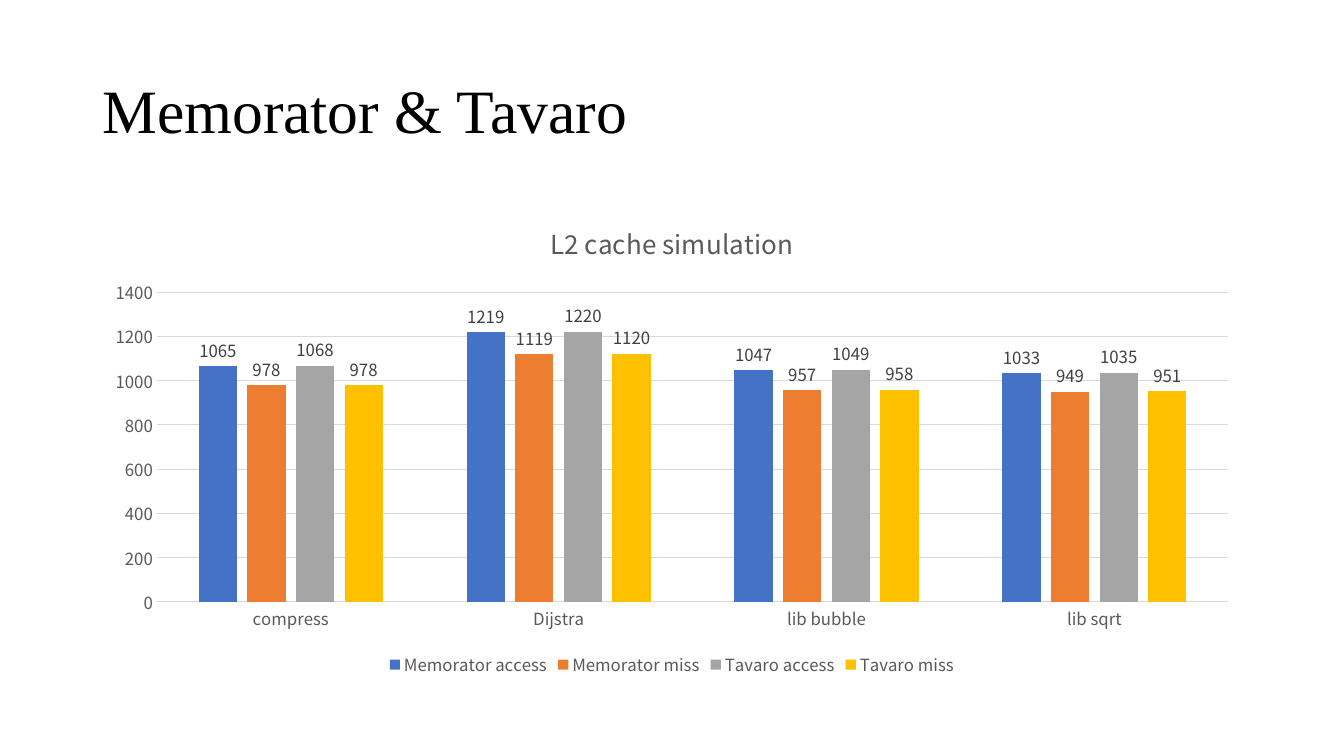
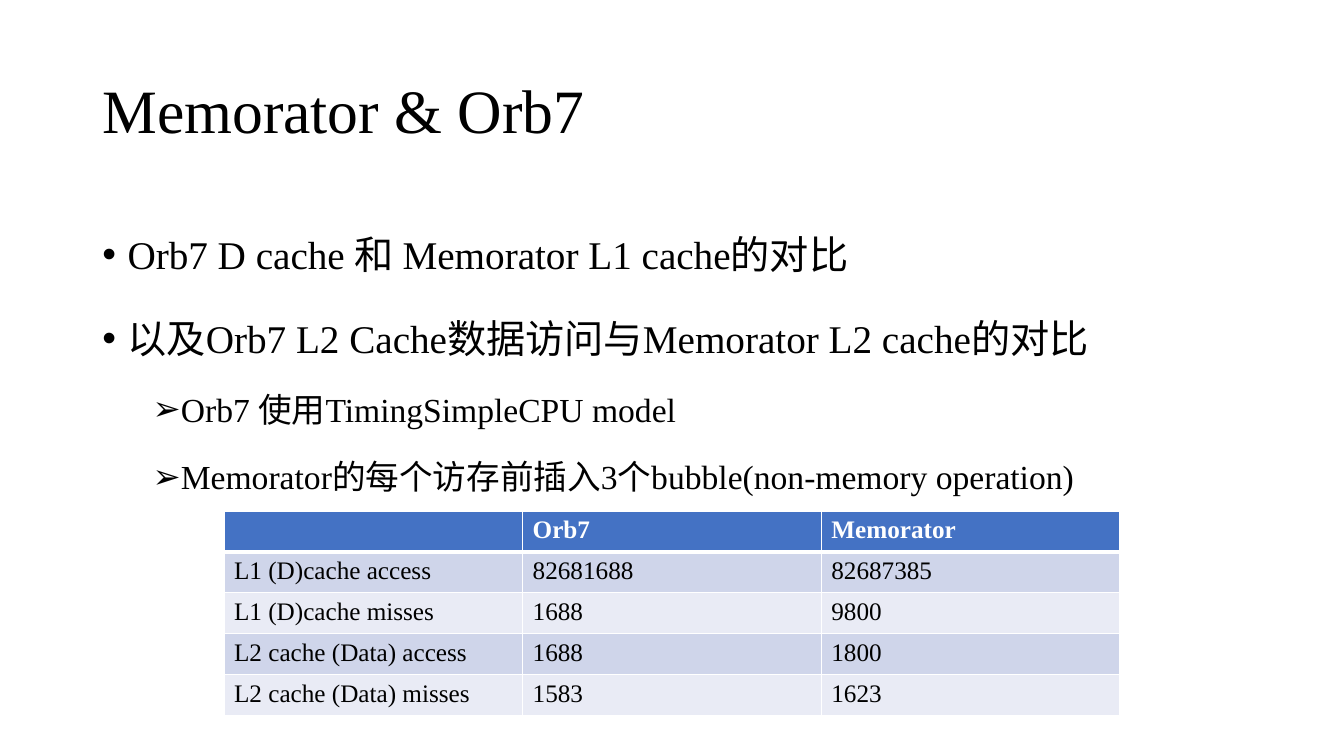
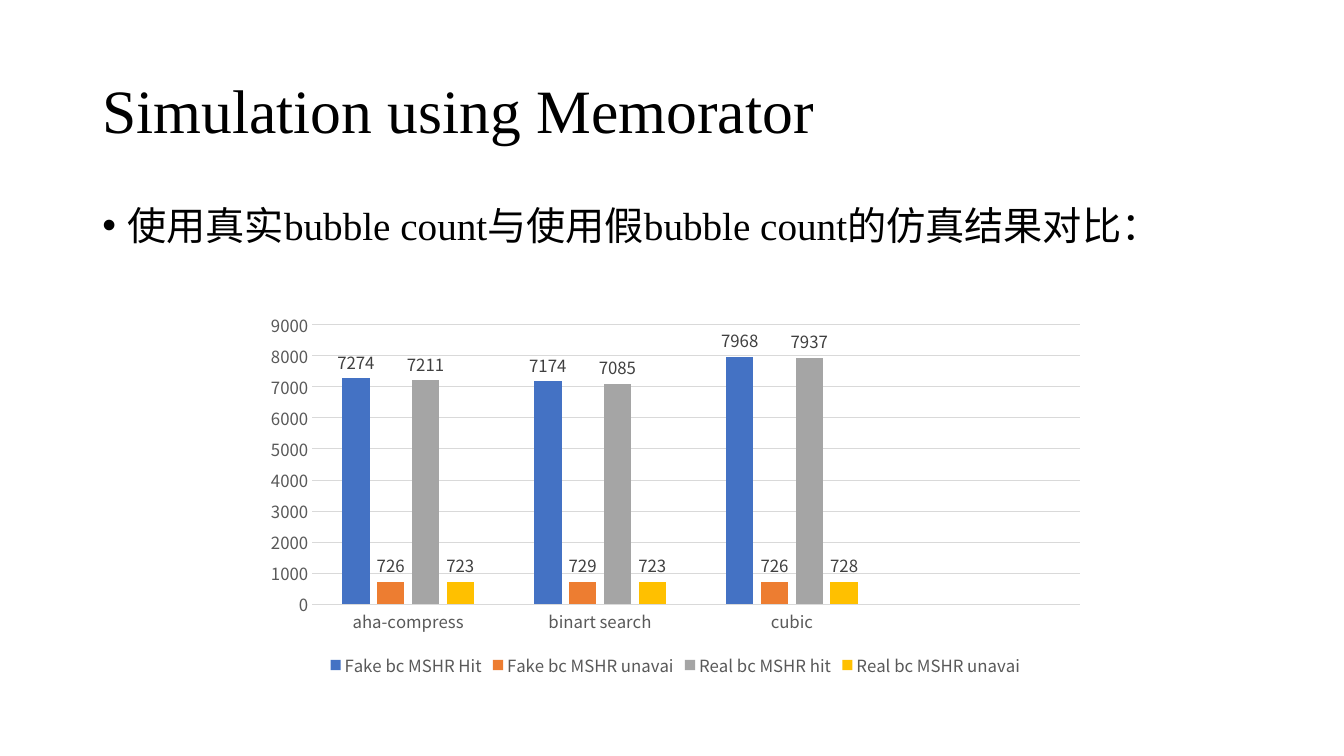
from dataclasses import dataclass
from typing import Any, Optional

from lxml import etree
from pptx import Presentation
from pptx.chart.data import CategoryChartData
from pptx.dml import color
from pptx.enum import chart as charts, text
from pptx.oxml import ns
from pptx.util import Emu, Inches, Pt

# Shared grid and style
COLUMNS, ROWS = 160, 90
LATIN, SANS = "Times New Roman", "Noto Sans CJK SC"
BLACK, WHITE, GREY, DARK, RULE = "000000", "FFFFFF", "595959", "404040", "D9D9D9"
SERIES_COLORS = ("4472C4", "ED7D31", "A5A5A5", "FFC000")
HEADER_FILL, BAND_FILLS = "4472C4", ("CFD5EA", "E9EBF5")


@dataclass(frozen=True)
class Area:
    """A place on the slide, in grid columns and rows."""
    left: float
    top: float
    width: float
    height: float


@dataclass(frozen=True)
class Bullet:
    words: str
    level: int = 0
    spacing: float = 1.5


@dataclass(frozen=True)
class ColumnChart:
    area: Area
    categories: tuple[str, ...]
    series: dict[str, tuple[Optional[int], ...]]
    maximum: int
    step: int
    title: str = ""


@dataclass(frozen=True)
class BulletStyle:
    mark: str
    size: int
    indent: float
    before: int


TITLE_AREA = Area(11, 4.8, 138, 17.4)
BODY_AREA = Area(11, 24, 138, 57.1)
BULLET_STYLES = (BulletStyle("•", 28, 0.25, 10), BulletStyle("➢", 24, 0.75, 5))

presentation = Presentation()
presentation.slide_width, presentation.slide_height = Inches(13.333), Inches(7.5)


# Helpers
def rgb(value: str) -> color.RGBColor:
    return color.RGBColor.from_string(value)


def place(area: Area) -> tuple[Emu, ...]:
    column = presentation.slide_width / COLUMNS
    row = presentation.slide_height / ROWS
    return tuple(Emu(round(length)) for length in (
        area.left * column, area.top * row, area.width * column, area.height * row))


def set_format(target: Any, **values: Any) -> None:
    for name, value in values.items():
        setattr(target, name, value)


def style_font(font: Any, size: float, tint: str, name: str = SANS, bold: bool = False) -> None:
    set_format(font, size=Pt(size), name=name, bold=bold)
    font.color.rgb = rgb(tint)


def add_words(paragraph: Any, words: str, size: float, tint: str = BLACK, bold: bool = False) -> None:
    run = paragraph.add_run()
    run.text = words
    style_font(run.font, size, tint, LATIN, bold)
    east_asian = etree.SubElement(run.font._element, ns.qn("a:ea"))
    east_asian.set("typeface", SANS)


def add_text_frame(slide: Any, area: Area, anchor: Any) -> Any:
    frame = slide.shapes.add_textbox(*place(area)).text_frame
    set_format(frame, word_wrap=True, vertical_anchor=anchor)
    return frame


def add_titled_slide(title: str) -> Any:
    slide = presentation.slides.add_slide(presentation.slide_layouts[6])
    frame = add_text_frame(slide, TITLE_AREA, text.MSO_ANCHOR.MIDDLE)
    paragraph = frame.paragraphs[0]
    paragraph.line_spacing = 0.9
    add_words(paragraph, title, 44)
    return slide


def add_bullets(slide: Any, bullets: tuple[Bullet, ...]) -> None:
    frame = add_text_frame(slide, BODY_AREA, text.MSO_ANCHOR.TOP)
    for index, bullet in enumerate(bullets):
        style = BULLET_STYLES[bullet.level]
        paragraph = frame.add_paragraph() if index else frame.paragraphs[0]
        set_format(paragraph, level=bullet.level, line_spacing=bullet.spacing,
                   space_before=Pt(style.before))
        properties = paragraph._p.get_or_add_pPr()
        properties.set("marL", str(Inches(style.indent)))
        properties.set("indent", str(-Inches(0.25)))
        etree.SubElement(properties, ns.qn("a:buFont")).set("typeface", "Arial")
        etree.SubElement(properties, ns.qn("a:buChar")).set("char", style.mark)
        add_words(paragraph, bullet.words, style.size)


def add_column_chart(slide: Any, content: ColumnChart) -> None:
    data = CategoryChartData()
    data.categories = content.categories
    for name, values in content.series.items():
        data.add_series(name, values)
    chart = slide.shapes.add_chart(
        charts.XL_CHART_TYPE.COLUMN_CLUSTERED, *place(content.area), data).chart
    style_font(chart.font, 10, BLACK)
    set_format(chart, has_title=bool(content.title), has_legend=True)
    if content.title:
        chart.chart_title.include_in_layout = False
        paragraph = chart.chart_title.text_frame.paragraphs[0]
        paragraph.text = content.title
        style_font(paragraph.runs[0].font, 18.6, GREY)
    set_format(chart.legend, position=charts.XL_LEGEND_POSITION.BOTTOM, include_in_layout=False)
    style_font(chart.legend.font, 12, GREY)

    # Axes
    for axis in (chart.category_axis, chart.value_axis):
        set_format(axis, major_tick_mark=charts.XL_TICK_MARK.NONE,
                   minor_tick_mark=charts.XL_TICK_MARK.NONE)
        style_font(axis.tick_labels.font, 12, GREY)
    set_format(chart.value_axis, minimum_scale=0, maximum_scale=content.maximum,
               major_unit=content.step, has_major_gridlines=True)
    chart.value_axis.format.line.fill.background()
    for line in (chart.category_axis.format.line, chart.value_axis.major_gridlines.format.line):
        line.width = Pt(0.75)
        line.color.rgb = rgb(RULE)

    # Columns and their labels
    plot = chart.plots[0]
    set_format(plot, gap_width=219, overlap=-27, vary_by_categories=False)
    for series, tint in zip(plot.series, SERIES_COLORS):
        series.invert_if_negative = False
        series.format.fill.solid()
        series.format.fill.fore_color.rgb = rgb(tint)
        labels = series.data_labels
        set_format(labels, show_value=True, position=charts.XL_LABEL_POSITION.OUTSIDE_END)
        style_font(labels.font, 12, DARK)


def set_borders(cell: Any, widths: dict[str, float]) -> None:
    properties = cell._tc.get_or_add_tcPr()
    for index, (side, width) in enumerate(widths.items()):
        border = etree.Element(ns.qn(f"a:ln{side}"), w=str(Pt(width)))
        fill = etree.SubElement(border, ns.qn("a:solidFill"))
        etree.SubElement(fill, ns.qn("a:srgbClr")).set("val", WHITE)
        properties.insert(index, border)


def add_table(slide: Any, area: Area, rows: tuple[tuple[str, ...], ...]) -> None:
    table = slide.shapes.add_table(len(rows), len(rows[0]), *place(area)).table
    set_format(table, first_row=False, horz_banding=False)
    for row_index, row in enumerate(rows):
        header = row_index == 0
        fill = HEADER_FILL if header else BAND_FILLS[(row_index - 1) % 2]
        widths = {"L": 1, "R": 1, "T": 3 if row_index == 1 else 1, "B": 3 if header else 1}
        for column_index, words in enumerate(row):
            cell = table.cell(row_index, column_index)
            cell.fill.solid()
            cell.fill.fore_color.rgb = rgb(fill)
            set_borders(cell, widths)
            if words:
                add_words(cell.text_frame.paragraphs[0], words, 18,
                          WHITE if header else BLACK, header)


# Slide 1: L2 cache chart
slide = add_titled_slide("Memorator & Tavaro")
add_column_chart(slide, ColumnChart(
    area=BODY_AREA,
    title="L2 cache simulation",
    categories=("compress", "Dijstra", "lib bubble", "lib sqrt"),
    series={
        "Memorator access": (1065, 1219, 1047, 1033),
        "Memorator miss": (978, 1119, 957, 949),
        "Tavaro access": (1068, 1220, 1049, 1035),
        "Tavaro miss": (978, 1120, 958, 951),
    },
    maximum=1400, step=200))

# Slide 2: cache comparison table
slide = add_titled_slide("Memorator & Orb7")
add_bullets(slide, (
    Bullet("Orb7 D cache 和 Memorator L1 cache的对比"),
    Bullet("以及Orb7 L2 Cache数据访问与Memorator L2 cache的对比"),
    Bullet("Orb7 使用TimingSimpleCPU model", level=1),
    Bullet("Memorator的每个访存前插入3个bubble(non-memory operation)", level=1),
))
add_table(slide, Area(26.67, 60.85, 106.67, 24.35), (
    ("", "Orb7", "Memorator"),
    ("L1 (D)cache access", "82681688", "82687385"),
    ("L1 (D)cache misses", "1688", "9800"),
    ("L2 cache (Data) access", "1688", "1800"),
    ("L2 cache (Data) misses", "1583", "1623"),
))

# Slide 3: bubble count chart, with a free fourth category
slide = add_titled_slide("Simulation using Memorator")
add_bullets(slide, (
    Bullet("使用真实bubble count与使用假bubble count的仿真结果对比：", spacing=0.9),
))
add_column_chart(slide, ColumnChart(
    area=Area(30.25, 36.25, 100.3, 44.9),
    categories=("aha-compress", "binart search", "cubic", ""),
    series={
        "Fake bc MSHR Hit": (7274, 7174, 7968, None),
        "Fake bc MSHR unavai": (726, 729, 726, None),
        "Real bc MSHR hit": (7211, 7085, 7937, None),
        "Real bc MSHR unavai": (723, 723, 728, None),
    },
    maximum=9000, step=1000))

presentation.save("out.pptx")
